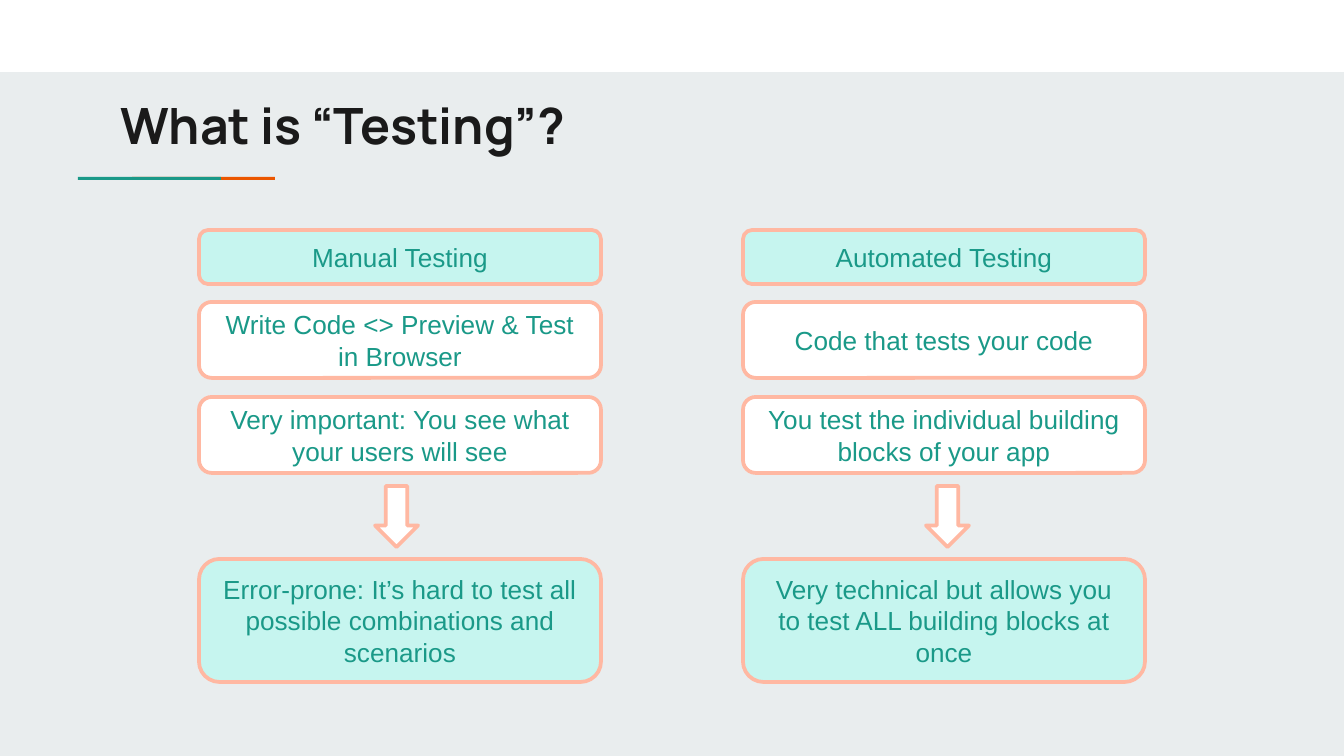
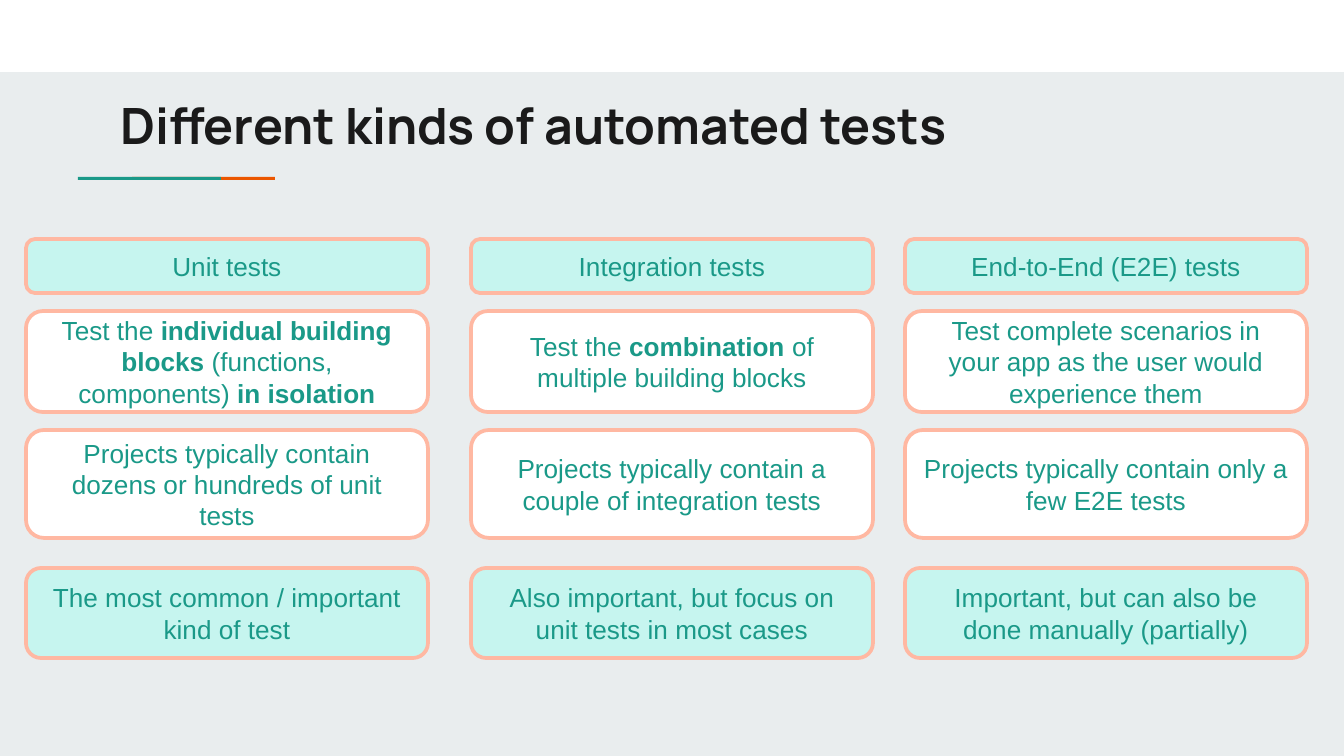
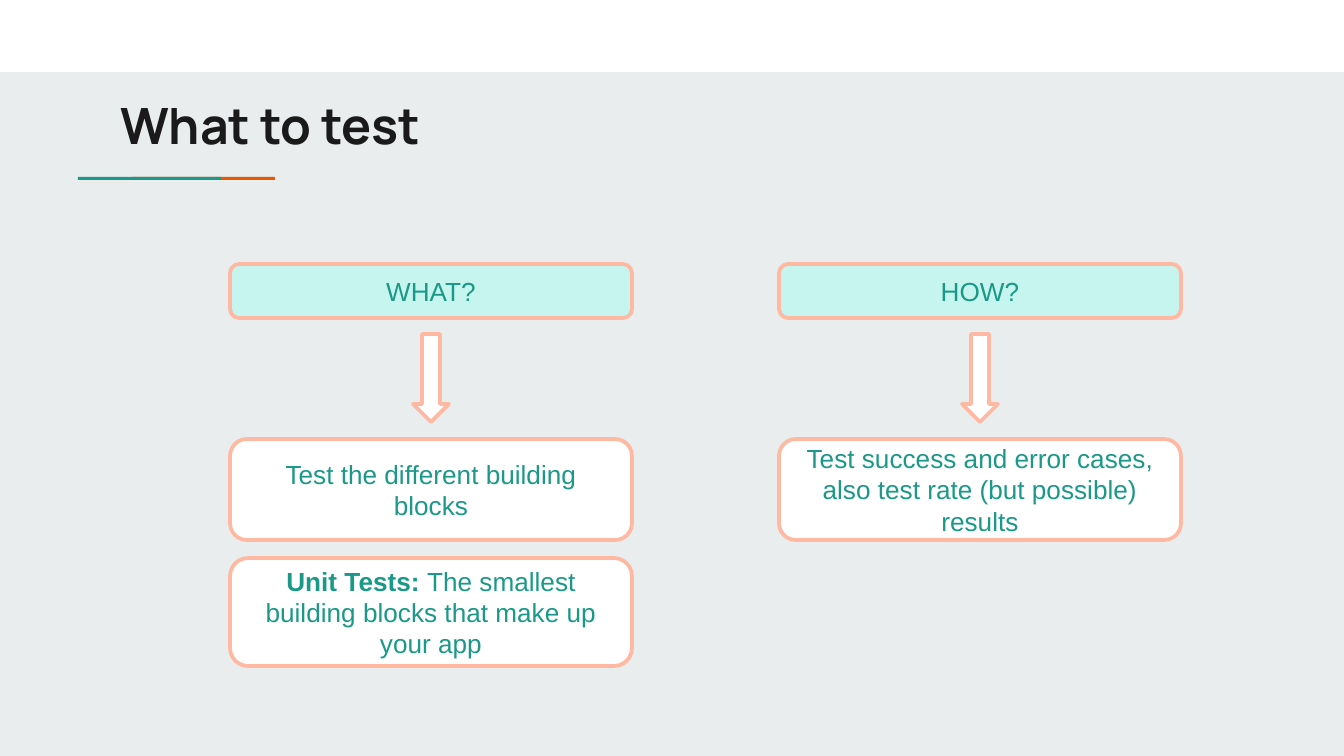
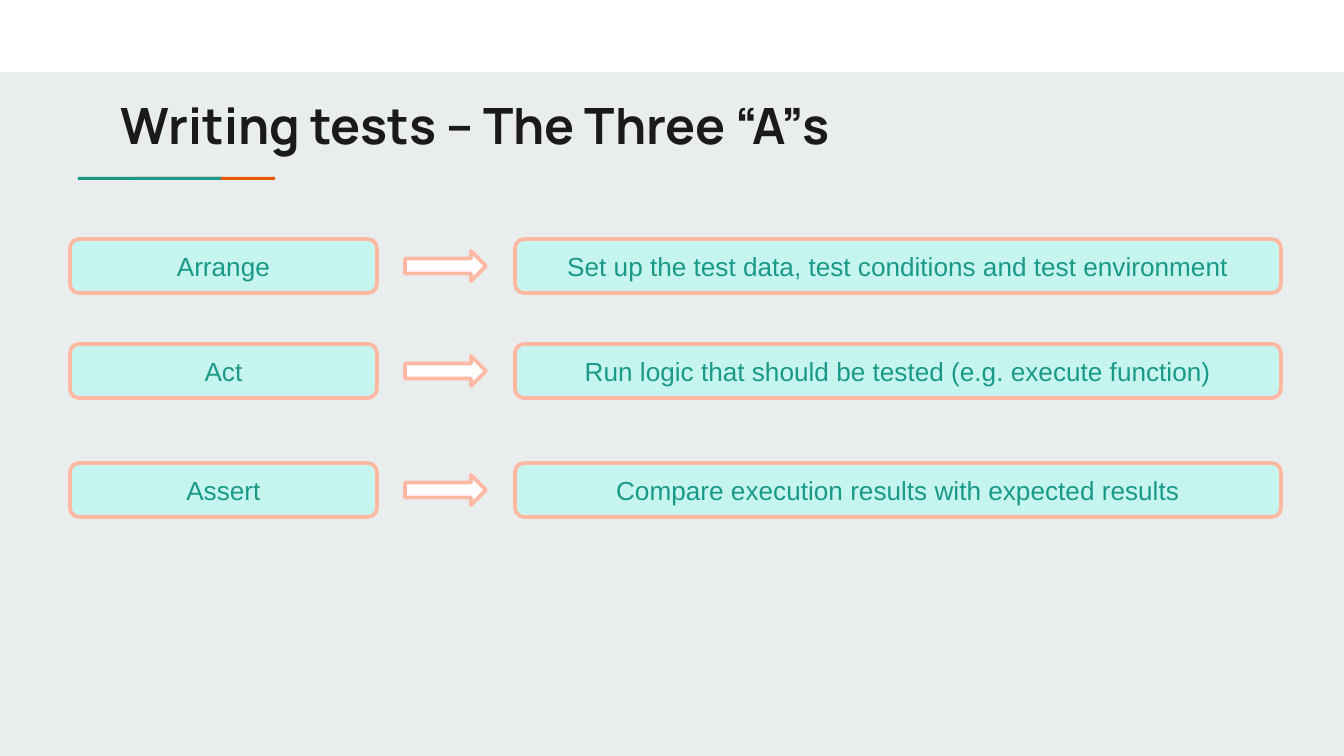
import pptx
import pptx.dml.color
import pptx.enum.shapes
import pptx.enum.text
import pptx.util

RGBColor = pptx.dml.color.RGBColor
Shape = pptx.enum.shapes.MSO_SHAPE
Align = pptx.enum.text.PP_ALIGN
Anchor = pptx.enum.text.MSO_ANCHOR

SCALE = pptx.util.Inches(1) / 134.4
BACKGROUND = RGBColor(0xE9, 0xED, 0xEE)
WHITE = RGBColor(0xFF, 0xFF, 0xFF)
MINT = RGBColor(0xC6, 0xF5, 0xEF)
TEAL = RGBColor(0x1A, 0x99, 0x88)
ORANGE = RGBColor(0xEB, 0x56, 0x00)
PEACH = RGBColor(0xFF, 0xB8, 0xA2)
INK = RGBColor(0x1A, 0x1A, 0x1A)

TITLE_FONT = {"name": "Manrope", "size": pptx.util.Pt(26.8), "bold": True}
BODY_FONT = {"name": "Arial", "size": pptx.util.Pt(14)}

CARD_WIDTH = 402
HEADER_HEIGHT = 54


def emu(*lengths):
    return [pptx.util.Emu(round(length * SCALE)) for length in lengths]


def set_values(target, values):
    for name, value in values.items():
        setattr(target, name, value)


class Deck:
    def __init__(self):
        self.presentation = pptx.Presentation()
        width, height = emu(1344, 756)
        set_values(self.presentation, {"slide_width": width, "slide_height": height})
        self.slide = None

    def add_slide(self, title):
        self.slide = self.presentation.slides.add_slide(self.presentation.slide_layouts[6])
        fill = self.slide.background.fill
        fill.solid()
        fill.fore_color.rgb = BACKGROUND
        self.shape(Shape.RECTANGLE, 0, 0, 1344, 72, WHITE)
        self.shape(Shape.RECTANGLE, 132, 177, 143, 3, ORANGE)
        self.shape(Shape.RECTANGLE, 78, 177, 143, 3, TEAL)
        self.title(title)

    def title(self, text):
        box = self.slide.shapes.add_textbox(*emu(107, 74, 1130, 101))
        margin = pptx.util.Inches(0.1)
        sides = ("left", "right", "top", "bottom")
        set_values(box.text_frame, {f"margin_{side}": margin for side in sides})
        self.text(box, text, TITLE_FONT, INK, Align.LEFT)

    def shape(self, kind, left, top, width, height, color, outlined=False):
        shape = self.slide.shapes.add_shape(kind, *emu(left, top, width, height))
        shape.shadow.inherit = False
        shape.fill.solid()
        shape.fill.fore_color.rgb = color
        if outlined:
            shape.line.color.rgb = PEACH
            shape.line.width = pptx.util.Pt(2)
        else:
            shape.line.fill.background()
        return shape

    def text(self, shape, text, font, color, alignment):
        frame = shape.text_frame
        set_values(frame, {"word_wrap": True, "vertical_anchor": Anchor.MIDDLE})
        paragraph = frame.paragraphs[0]
        paragraph.alignment = alignment
        for index, part in enumerate(text.split("**")):
            if part:
                run = paragraph.add_run()
                run.text = part
                set_values(run.font, {"bold": index % 2 == 1, **font})
                run.font.color.rgb = color

    def card(self, left, top, width, height, color, text):
        shape = self.shape(Shape.ROUNDED_RECTANGLE, left, top, width, height, color, True)
        self.text(shape, text, BODY_FONT, TEAL, Align.CENTER)

    def columns(self, rows, columns):
        for left, texts in columns:
            for (top, height, color), text in zip(rows, texts):
                self.card(left, top, CARD_WIDTH, height, color, text)

    def arrow(self, kind, left, top, width, height):
        self.shape(kind, left, top, width, height, WHITE, True)


def add_testing_definition(deck):
    deck.add_slide("What is “Testing”?")
    rows = [(230, HEADER_HEIGHT, MINT), (302, 76, WHITE), (397, 76, WHITE), (559, 123, MINT)]
    deck.columns(rows, [
        (199, ["Manual Testing",
               "Write Code <> Preview & Test in Browser",
               "Very important: You see what your users will see",
               "Error-prone: It’s hard to test all possible combinations and scenarios"]),
        (743, ["Automated Testing",
               "Code that tests your code",
               "You test the individual building blocks of your app",
               "Very technical but allows you to test ALL building blocks at once"]),
    ])
    for left in (375, 926):
        deck.arrow(Shape.DOWN_ARROW, left, 486, 43, 61)


def add_test_kinds(deck):
    deck.add_slide("Different kinds of automated tests")
    rows = [(239, HEADER_HEIGHT, MINT), (311, 101, WHITE), (430, 108, WHITE), (568, 90, MINT)]
    deck.columns(rows, [
        (26, ["Unit tests",
              "Test the **individual building blocks **(functions, components) **in isolation**",
              "Projects typically contain dozens or hundreds of unit tests",
              "The most common / important kind of test"]),
        (471, ["Integration tests",
               "Test the **combination** of multiple building blocks",
               "Projects typically contain a couple of integration tests",
               "Also important, but focus on unit tests in most cases"]),
        (905, ["End-to-End (E2E) tests",
               "Test complete scenarios in your app as the user would experience them",
               "Projects typically contain only a few E2E tests",
               "Important, but can also be done manually (partially)"]),
    ])


def add_what_to_test(deck):
    deck.add_slide("What to test")
    rows = [(264, HEADER_HEIGHT, MINT), (439, 101, WHITE), (558, 108, WHITE)]
    columns = [
        (230, ["WHAT?",
               "Test the different building blocks",
               "**Unit Tests: **The smallest building blocks that make up your app"]),
        (779, ["HOW?",
               "Test success and error cases, also test rate (but possible) results"]),
    ]
    deck.columns(rows, columns)
    arrow_width = 36
    for left, _ in columns:
        deck.arrow(Shape.DOWN_ARROW, left + (CARD_WIDTH - arrow_width) // 2, 334, arrow_width, 88)


def add_three_steps(deck):
    deck.add_slide("Writing tests – The Three “A”s")
    steps = [
        (239, "Arrange", "Set up the test data, test conditions and test environment"),
        (344, "Act", "Run logic that should be tested (e.g. execute function)"),
        (463, "Assert", "Compare execution results with expected results"),
    ]
    for top, step, meaning in steps:
        deck.card(70, top, 307, HEADER_HEIGHT, MINT, step)
        deck.card(515, top, 766, HEADER_HEIGHT, MINT, meaning)
        deck.arrow(Shape.RIGHT_ARROW, 405, top + 12, 81, 30)


def main():
    deck = Deck()
    add_testing_definition(deck)
    add_test_kinds(deck)
    add_what_to_test(deck)
    add_three_steps(deck)
    deck.presentation.save("out.pptx")


if __name__ == "__main__":
    main()
